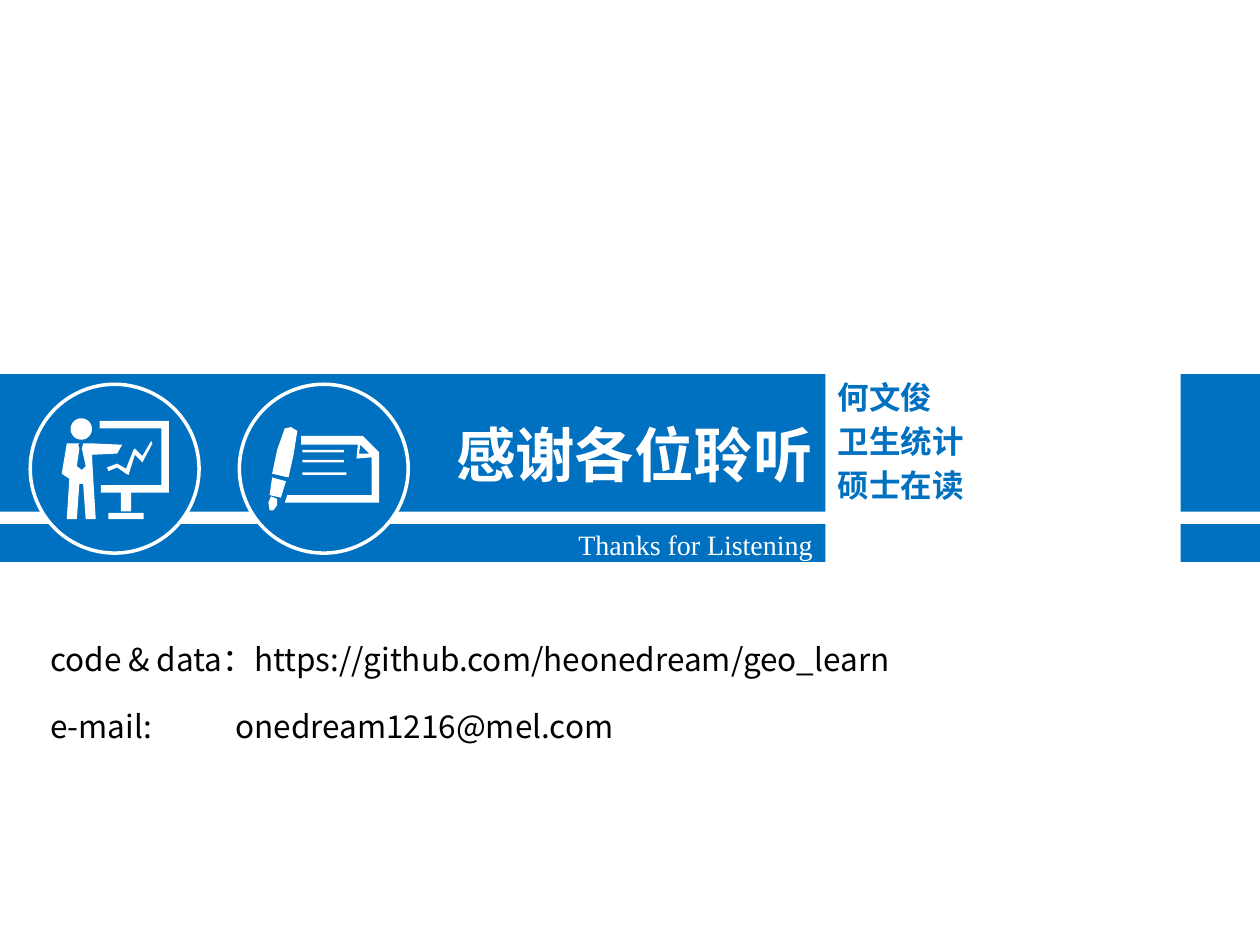
from math import cos, pi, sin

from lxml import etree
from pptx import Presentation
from pptx.dml.color import RGBColor
from pptx.enum.shapes import MSO_SHAPE
from pptx.enum.text import MSO_ANCHOR, MSO_AUTO_SIZE, PP_ALIGN
from pptx.oxml.ns import qn
from pptx.util import Inches, Pt

THEME = {
    "blue": RGBColor(0x00, 0x70, 0xC0),
    "white": RGBColor(0xFF, 0xFF, 0xFF),
    "black": RGBColor(0x00, 0x00, 0x00),
    "sans": "Noto Sans CJK SC",
    "serif": "Times New Roman",
    "title": 34,
    "subtitle": 16,
    "body": 18,
}

TITLE = "感谢各位聆听"
SUBTITLE = "Thanks for Listening"
SPEAKER = ["何文俊", "卫生统计", "硕士在读"]
CONTACTS = [
    "code & data：https://github.com/heonedream/geo_learn",
    "e-mail:\tonedream1216@mel.com",
]

BAND_COLUMNS = [(0, 6.55), (9.37, 0.63)]  # left, width
BAND_ROWS = [(2.97, 1.09), (4.16, 0.3)]  # top, height
BADGE_TOP, BADGE_SIZE = 3.05, 1.34
SPEAKER_TOP, SPEAKER_PITCH = 2.95, 0.35


def circle(x, y, radius, steps=32):
    return [(x + radius * cos(2 * pi * i / steps), y + radius * sin(2 * pi * i / steps))
            for i in range(steps)]


def bar(left, top, right, bottom):
    return [(left, top), (right, top), (right, bottom), (left, bottom)]


PRESENTER_ICON = [
    circle(0.645, 3.405, 0.085),
    # trend line
    [(0.85, 3.71), (0.93, 3.68), (1, 3.72), (1.06, 3.57), (1.07, 3.56),
     (1.13, 3.62), (1.2, 3.5), (1.21, 3.52), (1.13, 3.67), (1.07, 3.61),
     (1.02, 3.77), (1, 3.76), (0.93, 3.71), (0.86, 3.74)],
    # board and stand
    bar(0.86, 4.07, 1.14, 4.12),
    [(1.04, 3.91), (1.34, 3.91), (1.34, 3.34), (0.79, 3.34), (0.79, 3.4),
     (1.28, 3.4), (1.28, 3.85), (0.8, 3.85), (0.8, 3.91), (0.96, 3.91),
     (0.96, 4.06), (1.04, 4.06)],
    # body with tie
    [(0.49, 3.76), (0.55, 3.8), (0.53, 4.12), (0.61, 4.12), (0.63, 3.84),
     (0.66, 3.84), (0.68, 4.12), (0.76, 4.12), (0.74, 3.8), (0.73, 3.61),
     (0.93, 3.6), (0.97, 3.53), (0.75, 3.52), (0.66, 3.52), (0.65, 3.56),
     (0.68, 3.7), (0.65, 3.73), (0.61, 3.7), (0.63, 3.56), (0.62, 3.53),
     (0.63, 3.52), (0.53, 3.52)],
]
WRITING_ICON = [
    # pen barrel, grip and nib
    [(2.26, 3.4), (2.31, 3.39), (2.36, 3.42), (2.33, 3.61), (2.29, 3.79),
     (2.16, 3.76), (2.2, 3.57)],
    [(2.16, 3.79), (2.14, 3.93), (2.23, 3.95), (2.27, 3.82)],
    [(2.15, 3.94), (2.2, 3.96), (2.2, 4.01), (2.17, 4.05), (2.14, 4.05), (2.13, 3.99)],
    # sheet and folded corner
    [(2.28, 3.93), (2.26, 3.99), (3.01, 3.99), (3.01, 3.59), (2.88, 3.46),
     (2.39, 3.46), (2.39, 3.53), (2.84, 3.53), (2.83, 3.64), (2.95, 3.63),
     (2.95, 3.93)],
    [(2.93, 3.6), (2.85, 3.6), (2.86, 3.53)],
    # written lines
    bar(2.4, 3.57, 2.73, 3.59),
    bar(2.4, 3.65, 2.73, 3.67),
    bar(2.4, 3.75, 2.75, 3.77),
]
BADGES = [(0.24, PRESENTER_ICON), (1.9, WRITING_ICON)]  # left, outlines


def paint(shape, color, outline=None):
    shape.shadow.inherit = False
    shape.fill.solid()
    shape.fill.fore_color.rgb = color
    if outline is None:
        shape.line.fill.background()
    else:
        shape.line.color.rgb = outline
        shape.line.width = Pt(2)


def add_block(slide, preset, box, color, outline=None):
    block = slide.shapes.add_shape(preset, *map(Inches, box))
    paint(block, color, outline)


def add_icon(slide, outlines):
    points = [[(Inches(x), Inches(y)) for x, y in outline] for outline in outlines]
    builder = slide.shapes.build_freeform(*points[0][0])
    for index, outline in enumerate(points):
        if index:
            builder.move_to(*outline[0])
        builder.add_line_segments(outline[1:], close=True)
    paint(builder.convert_to_shape(), THEME["white"])


def place(shape, box):
    shape.left, shape.top, shape.width, shape.height = map(Inches, box)


def write(shape, lines, size, color, face="sans", bold=False, align=PP_ALIGN.LEFT,
          spacing=1.0, anchor=MSO_ANCHOR.TOP):
    frame = shape.text_frame
    frame.text = "\n".join(lines)
    frame.word_wrap = True
    frame.auto_size = MSO_AUTO_SIZE.NONE
    frame.vertical_anchor = anchor
    for paragraph in frame.paragraphs:
        paragraph.alignment = align
        paragraph.line_spacing = spacing
        paragraph.space_before = Pt(0)
        for run in paragraph.runs:
            font = run.font
            font.size, font.bold = Pt(THEME[size]), bold
            font.color.rgb = THEME[color]
            font.name = THEME[face]
            east_asian = etree.SubElement(run._r.get_or_add_rPr(), qn("a:ea"))
            east_asian.set("typeface", THEME[face])
    return frame


def main():
    deck = Presentation()
    deck.slide_width, deck.slide_height = Inches(10), Inches(7.5)
    slide = deck.slides.add_slide(deck.slide_layouts[0])
    title, subtitle = slide.placeholders

    for left, width in BAND_COLUMNS:
        for top, height in BAND_ROWS:
            add_block(slide, MSO_SHAPE.RECTANGLE, (left, top, width, height), THEME["blue"])

    for left, outlines in BADGES:
        add_block(slide, MSO_SHAPE.OVAL, (left, BADGE_TOP, BADGE_SIZE, BADGE_SIZE),
                  THEME["blue"], THEME["white"])
        add_icon(slide, outlines)

    # The headings lie on the bands, so they move to the front.
    for heading in (title, subtitle):
        slide.shapes.element.append(heading.element)
    place(title, (2.95, 3.13, 3.6, 0.75))
    write(title, [TITLE], "title", "white", bold=True, align=PP_ALIGN.RIGHT, spacing=1.25)
    place(subtitle, (3.55, 4.07, 3, 0.4))
    write(subtitle, [SUBTITLE], "subtitle", "white", face="serif",
          align=PP_ALIGN.RIGHT, spacing=1.25)

    for row, line in enumerate(SPEAKER):
        top = SPEAKER_TOP + row * SPEAKER_PITCH
        label = slide.shapes.add_textbox(*map(Inches, (6.55, top, 2.81, 0.4)))
        write(label, [line], "body", "blue", bold=True)

    contact = slide.shapes.add_textbox(*map(Inches, (0.3, 4.99, 7.66, 1.01)))
    email = write(contact, CONTACTS, "body", "black", anchor=MSO_ANCHOR.MIDDLE).paragraphs[1]
    email.space_before = Pt(17)
    tabs = etree.SubElement(email._p.get_or_add_pPr(), qn("a:tabLst"))
    etree.SubElement(tabs, qn("a:tab"), pos=str(Inches(1.47)), algn="l")

    deck.save("out.pptx")


if __name__ == "__main__":
    main()
